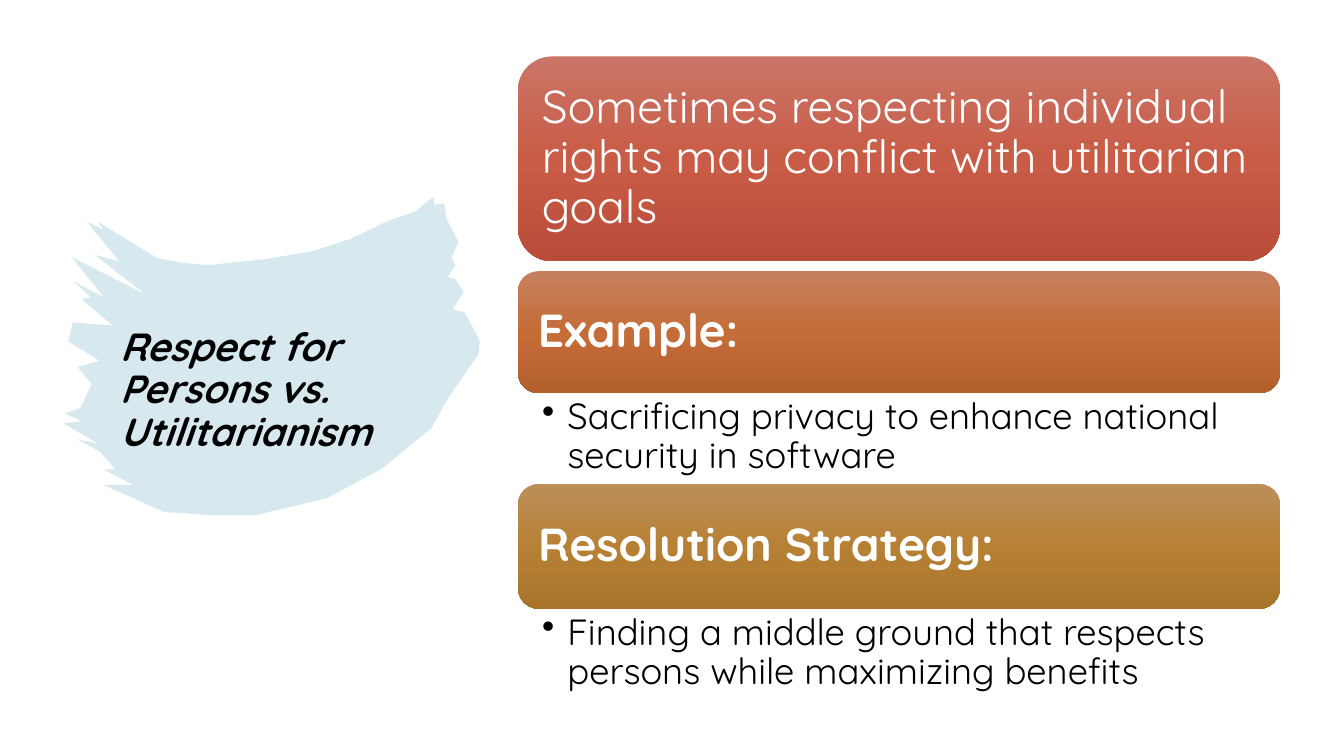
import copy

import pptx
import pptx.dml.color
import pptx.enum.shapes
import pptx.enum.text
import pptx.oxml.ns
import pptx.util

Pt = pptx.util.Pt
RGB = pptx.dml.color.RGBColor
qn = pptx.oxml.ns.qn
MIDDLE = pptx.enum.text.MSO_ANCHOR.MIDDLE
TOP = pptx.enum.text.MSO_ANCHOR.TOP

FONT = "Quicksand"
BLACK = RGB.from_string("000000")
WHITE = RGB.from_string("FFFFFF")
TEAL = RGB.from_string("3B94B1")
RED = [RGB.from_string(c) for c in ("CA7567", "C95C47", "B94D39")]
ORANGE = [RGB.from_string(c) for c in ("C6805E", "C56D39", "B4602D")]
GOLD = [RGB.from_string(c) for c in ("BC8F5A", "B78135", "A8742A")]

LEFT, WIDTH = 370, 544.3  # right-hand column
DETAIL_HEIGHT = 64.8

# Brush stroke outline, in units of 0.72 pt
BRUSH = [
    # right edge
    (430, 195), (431, 203), (441, 202), (443, 217), (455, 240), (448, 256),
    (452, 263), (444, 275), (452, 277), (460, 290), (449, 307), (461, 310),
    (476, 338), (475, 351), (444, 396), (428, 425),
    # lower edge
    (379, 465), (325, 494), (255, 511), (206, 511), (163, 508), (127, 492),
    (102, 481), (132, 481), (103, 466), (114, 465), (99, 448), (77, 436),
    # left bristles
    (97, 440), (63, 420), (81, 418), (64, 410), (80, 405), (91, 381),
    (77, 364), (99, 358), (68, 339), (72, 320), (112, 323), (81, 297),
    (90, 295), (73, 279), (103, 295), (71, 255), (144, 292), (94, 253),
    (118, 259), (86, 220), (103, 228), (97, 220),
    # upper edge
    (156, 256), (183, 261), (207, 263), (264, 257), (311, 249), (348, 237),
    (383, 220), (412, 210),
]


def finish(sp):
    sp.line.fill.background()
    sp.shadow.inherit = False


def write(sp, text, size=26, color=BLACK, bold=False, italic=False,
          anchor=MIDDLE, insets=(7.2, 3.6, 7.2, 3.6), bullet=None):
    tf = sp.text_frame
    tf.word_wrap = True
    tf.vertical_anchor = anchor
    tf.margin_left, tf.margin_top, tf.margin_right, tf.margin_bottom = map(Pt, insets)
    p = tf.paragraphs[0]
    p.alignment = pptx.enum.text.PP_ALIGN.LEFT
    p.line_spacing = 0.9
    r = p.add_run()
    r.text = text
    r.font.name, r.font.size = FONT, Pt(size)
    r.font.bold, r.font.italic = bold, italic
    r.font.color.rgb = color
    if bullet:
        pPr = p._p.get_or_add_pPr()
        pPr.set("marL", str(Pt(18)))
        pPr.set("indent", str(-Pt(18)))
        pPr.append(pPr.makeelement(qn("a:buChar"), {"char": bullet}))


def add_brush(s):
    builder = s.shapes.build_freeform(*BRUSH[0], scale=Pt(0.72))
    builder.add_line_segments(BRUSH[1:], close=True)
    sp = builder.convert_to_shape()
    sp.fill.solid()
    sp.fill.fore_color.rgb = TEAL
    clr = next(sp.element.spPr.iter(qn("a:srgbClr")))
    clr.append(clr.makeelement(qn("a:alpha"), {"val": "20000"}))
    finish(sp)


def add_title(s, text):
    sp = s.shapes.add_textbox(Pt(78.5), Pt(206.6), Pt(246.2), Pt(145.4))
    write(sp, text, size=28, bold=True, italic=True)


def add_card(s, top, height, text, colors, bold):
    sp = s.shapes.add_shape(pptx.enum.shapes.MSO_SHAPE.ROUNDED_RECTANGLE,
                            Pt(LEFT), Pt(top), Pt(WIDTH), Pt(height))
    # vertical gradient with three even stops
    sp.fill.gradient()
    sp.fill.gradient_angle = 270
    stops = next(sp.element.spPr.iter(qn("a:gsLst")))
    stops.insert(1, copy.deepcopy(stops[0]))
    for i, (stop, color) in enumerate(zip(sp.fill.gradient_stops, colors)):
        stop.position = i / 2
        stop.color.rgb = color
    finish(sp)
    write(sp, text, size=33, color=WHITE, bold=bold, insets=(10, 10, 10, 10))


def add_detail(s, top, text):
    sp = s.shapes.add_textbox(Pt(LEFT), Pt(top), Pt(WIDTH), Pt(DETAIL_HEIGHT))
    write(sp, text, anchor=TOP, insets=(17.3, 3.6, 18.7, 3.6), bullet="•")


def main():
    prs = pptx.Presentation()
    prs.slide_width, prs.slide_height = Pt(960), Pt(540)
    s = prs.slides.add_slide(prs.slide_layouts[6])

    # Left: title on the brush stroke
    add_brush(s)
    add_title(s, "Respect for Persons vs. Utilitarianism")

    # Right: statement, then headed sections stacked without gaps
    add_card(s, 40.3, 146.2, "Sometimes respecting individual rights may conflict "
             "with utilitarian goals", RED, bold=False)
    top = 193.7
    for heading, height, colors, detail in (
        ("Example:", 87.1, ORANGE,
         "Sacrificing privacy to enhance national security in software"),
        ("Resolution Strategy:", 89.3, GOLD,
         "Finding a middle ground that respects persons while maximizing benefits"),
    ):
        add_card(s, top, height, heading, colors, bold=True)
        add_detail(s, top + height, detail)
        top += height + DETAIL_HEIGHT

    prs.save("out.pptx")


if __name__ == "__main__":
    main()
